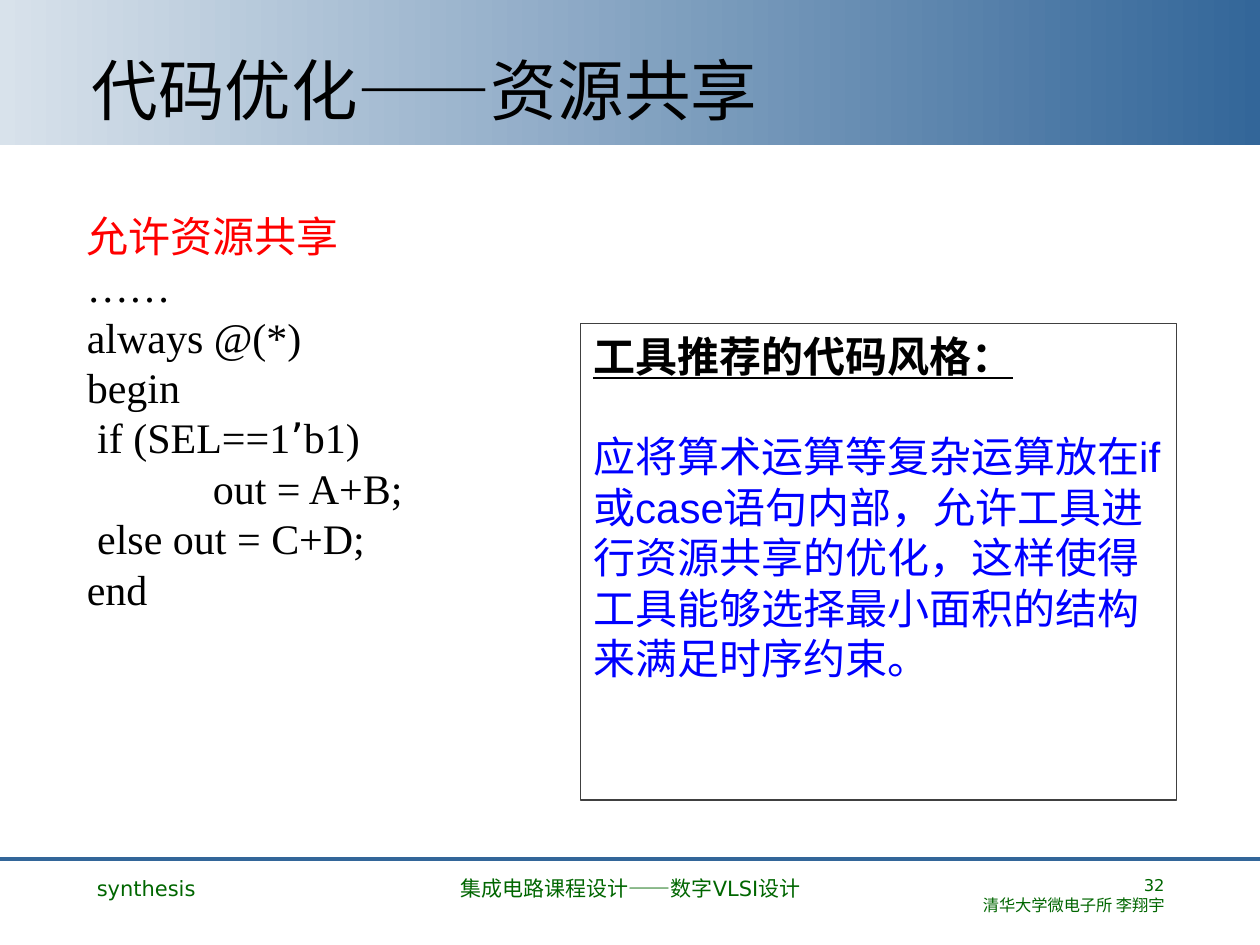
from lxml.etree import SubElement
from pptx import Presentation
from pptx.dml.color import RGBColor
from pptx.enum.shapes import MSO_CONNECTOR, MSO_SHAPE
from pptx.enum.text import MSO_ANCHOR, PP_ALIGN
from pptx.oxml.ns import qn
from pptx.util import Inches, Pt

W, H = 10, 7.5
LATIN, CJK, CODE, BODY = "DejaVu Sans", "Noto Sans CJK SC", "Times New Roman", "Arial"
BLUE, GREEN, BLACK = "336699", "006600", "000000"
FOOTER_TOP, FOOTER_H = 6.9, 0.45


def color(hex_text):
    return RGBColor.from_string(hex_text)


def add_rect(slide, box, fill=None, line=None):
    sp = slide.shapes.add_shape(MSO_SHAPE.RECTANGLE, *map(Inches, box))
    sp.shadow.inherit = False
    if fill:
        sp.fill.solid()
        sp.fill.fore_color.rgb = color(fill)
    if line:
        sp.line.color.rgb = color(line)
        sp.line.width = Pt(0.75)
    else:
        sp.line.fill.background()
    return sp


def add_band(slide, box, start, end):
    sp = add_rect(slide, box)
    sp.fill.gradient()
    sp.fill.gradient_angle = 0
    for stop, hex_text in zip(sp.fill.gradient_stops, (start, end)):
        stop.color.rgb = color(hex_text)


def add_rule(slide, y):
    line = slide.shapes.add_connector(
        MSO_CONNECTOR.STRAIGHT, 0, Inches(y), Inches(W), Inches(y))
    line.line.color.rgb = color(BLUE)
    line.line.width = Pt(2.25)
    SubElement(line._element.spPr, qn("a:effectLst"))


def add_textbox(slide, box):
    return slide.shapes.add_textbox(*map(Inches, box))


def style(font, size, name, hex_text, bold=False, underline=False):
    font.size, font.name = Pt(size), name
    font.bold, font.underline = bold, underline
    font.color.rgb = color(hex_text)


def add_tab_stop(p, position):
    tabs = SubElement(p._p.get_or_add_pPr(), qn("a:tabLst"))
    SubElement(tabs, qn("a:tab"), pos=str(Inches(position)), algn="l")


def write(sp, paragraphs, size, align=PP_ALIGN.LEFT, anchor=MSO_ANCHOR.TOP):
    """Each paragraph is a list of (text, font, colour, bold and underlined)."""
    tf = sp.text_frame
    tf.word_wrap = True
    tf.vertical_anchor = anchor
    for i, runs in enumerate(paragraphs):
        p = tf.paragraphs[0] if i == 0 else tf.add_paragraph()
        p.alignment = align
        p.line_spacing = Pt(round(size * 1.2, 1))
        for text, name, hex_text, strong in runs:
            r = p.add_run()
            r.text = text
            style(r.font, size, name, hex_text, strong, strong)
            SubElement(r._r.get_or_add_rPr(), qn("a:ea"), typeface=CJK)


def plain(lines, name, hex_text):
    return [[(line, name, hex_text, False)] for line in lines]


def add_code(slide):
    before = ["……", "always @(*)", "begin"]
    after = ["\tout = A+B;", " else out = C+D;", "end"]
    condition = [(" if (SEL==1", CODE, BLACK, False), ("’", LATIN, BLACK, False),
                 ("b1)", CODE, BLACK, False)]
    sp = add_rect(slide, (0.59, 1.62, 5.35, 4.8), "FFFFFF")
    write(sp, plain(["允许资源共享"], CODE, "FF0000") + plain(before, CODE, BLACK)
          + [condition] + plain(after, CODE, BLACK), 24)
    for p in sp.text_frame.paragraphs:
        add_tab_stop(p, 1)


def add_advice(slide):
    sp = add_rect(slide, (4.61, 2.57, 4.73, 3.78), "FFFFFF", "404040")
    advice = ("应将算术运算等复杂运算放在if或case语句内部，允许工具进行资源共享的优化，"
              "这样使得工具能够选择最小面积的结构来满足时序约束。")
    write(sp, [[("工具推荐的代码风格：", CJK, BLACK, True)],
               [(advice, BODY, "0000FF", False)]], 24)
    # One line of space between heading and advice
    sp.text_frame.paragraphs[1].space_before = Pt(28.8)


def add_footer(slide):
    parts = [
        (0.67, 2.17, ["synthesis"], 12, PP_ALIGN.LEFT),
        (3.42, 3.17, ["集成电路课程设计——数字VLSI设计"], 12, PP_ALIGN.CENTER),
        (7.17, 2.17, ["32", "清华大学微电子所 李翔宇"], 9.3, PP_ALIGN.RIGHT),
    ]
    for left, width, lines, size, align in parts:
        sp = add_textbox(slide, (left, FOOTER_TOP, width, FOOTER_H))
        write(sp, plain(lines, LATIN, GREEN), size, align)


def main():
    prs = Presentation()
    prs.slide_width, prs.slide_height = Inches(W), Inches(H)
    slide = prs.slides.add_slide(prs.slide_layouts[6])

    # Header band, footer rule and title
    add_band(slide, (0, 0, W, 1.15), "D8E2EB", BLUE)
    add_rule(slide, 6.82)
    title = add_textbox(slide, (0.63, 0.33, 8.75, 0.74))
    title.text_frame.margin_top = 0
    title.text_frame.margin_bottom = Inches(0.05)
    write(title, plain(["代码优化——资源共享"], LATIN, BLACK), 38,
          anchor=MSO_ANCHOR.BOTTOM)

    # Content and footer
    add_code(slide)
    add_advice(slide)
    add_footer(slide)
    prs.save("out.pptx")


if __name__ == "__main__":
    main()
